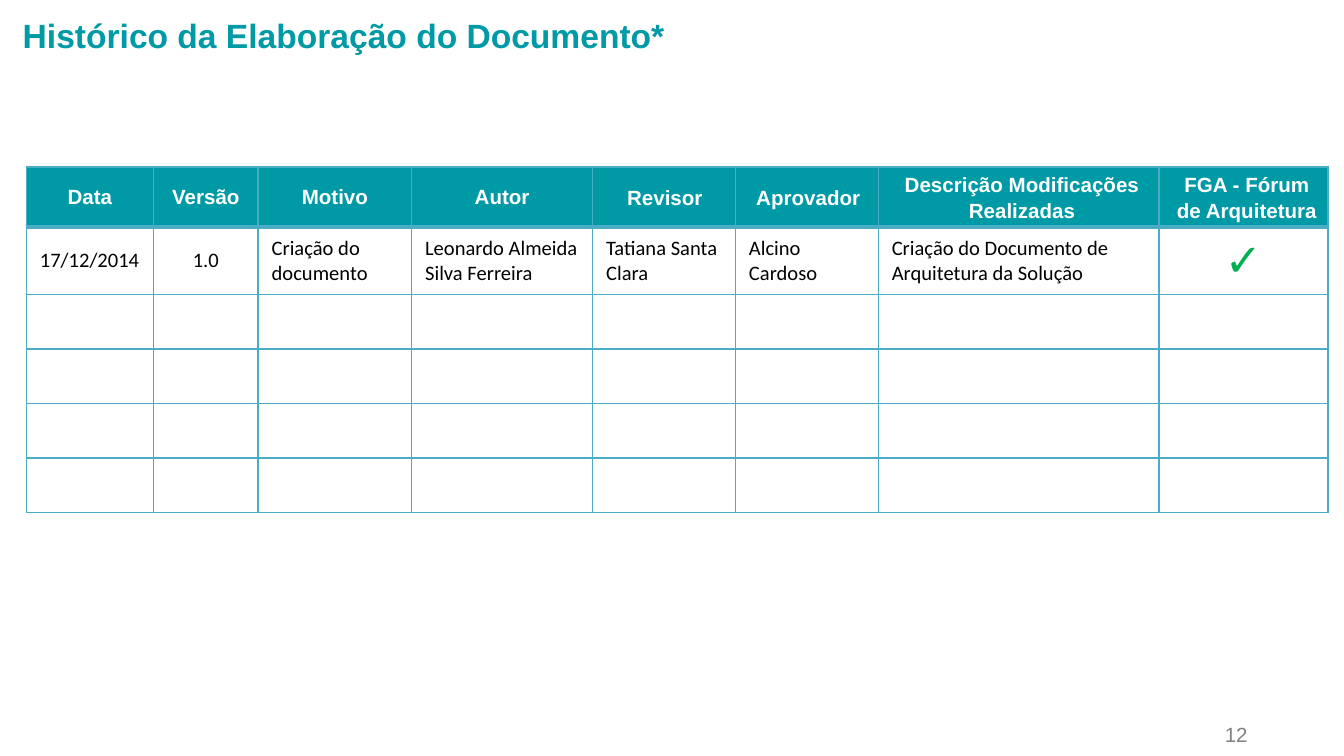
from lxml import etree
from pptx import Presentation
from pptx.dml.color import RGBColor
from pptx.enum.text import MSO_ANCHOR, PP_ALIGN
from pptx.oxml.ns import qn
from pptx.util import Cm, Pt

LEFT, CENTER, RIGHT = PP_ALIGN.LEFT, PP_ALIGN.CENTER, PP_ALIGN.RIGHT
MIDDLE = MSO_ANCHOR.MIDDLE
COLORS = {"teal": "009AA6", "border": "4BACC6", "white": "FFFFFF",
          "black": "000000", "green": "00B050", "gray": "808080"}


def write(paragraph, text, size, color, font="Arial", bold=False, align=LEFT):
    paragraph.alignment = align
    run = paragraph.add_run()
    run.text = text
    run.font.name = font
    run.font.size = Pt(size)
    run.font.bold = bold
    run.font.color.rgb = RGBColor.from_string(COLORS[color])


def style_cell(cell, fill, bottom_width):
    """Draw the four borders, then the fill, in the order the schema asks for."""
    properties = cell._tc.get_or_add_tcPr()
    for side, width in (("L", 1), ("R", 1), ("T", 1), ("B", bottom_width)):
        line = etree.SubElement(properties, qn(f"a:ln{side}"), w=str(Pt(width)))
        solid = etree.SubElement(line, qn("a:solidFill"))
        etree.SubElement(solid, qn("a:srgbClr"), val=COLORS["border"])
    cell.fill.solid()
    cell.fill.fore_color.rgb = RGBColor.from_string(COLORS[fill])
    cell.vertical_anchor = MIDDLE


presentation = Presentation()
presentation.slide_width = Cm(25.4)
presentation.slide_height = Cm(14.28)
slide = presentation.slides.add_slide(presentation.slide_layouts[6])

# Title
title = slide.shapes.add_textbox(Cm(0.18), Cm(0.15), Cm(16.33), Cm(1.02))
title.text_frame.word_wrap = True
write(title.text_frame.paragraphs[0], "Histórico da Elaboração do Documento*",
      18, "teal", bold=True)

# Revision history: header, column width, header indent, first entry, alignment
columns = [
    ("Data", 2.4, 0, "17/12/2014", LEFT),
    ("Versão", 1.98, 0, "1.0", CENTER),
    ("Motivo", 2.9, 0, "Criação do documento", LEFT),
    ("Autor", 3.42, 0, "Leonardo Almeida Silva Ferreira", LEFT),
    ("Revisor", 2.7, 0.03, "Tatiana Santa Clara", LEFT),
    ("Aprovador", 2.7, 0.05, "Alcino Cardoso", LEFT),
    ("Descrição Modificações Realizadas", 5.3, 0.13,
     "Criação do Documento de Arquitetura da Solução", LEFT),
    ("FGA - Fórum de Arquitetura", 3.2, 0.13, "✓", CENTER),
]
row_heights = [1.14, 1.27] + [1.03] * 4
table = slide.shapes.add_table(
    len(row_heights), len(columns), Cm(0.5), Cm(3.15),
    Cm(sum(column[1] for column in columns)), Cm(sum(row_heights))).table
table.first_row = False
table.horz_banding = False
for row, height in zip(table.rows, row_heights):
    row.height = Cm(height)

for index, (header, width, indent, entry, align) in enumerate(columns):
    table.columns[index].width = Cm(width)
    for row_index in range(len(row_heights)):
        is_header = row_index == 0
        style_cell(table.cell(row_index, index),
                   "teal" if is_header else "white", 2 if is_header else 1)

    header_cell = table.cell(0, index)
    header_cell.margin_left = header_cell.margin_right = Cm(0.13)
    header_cell.margin_top = header_cell.margin_bottom = Cm(0)
    paragraph = header_cell.text_frame.paragraphs[0]
    if indent:
        paragraph.line_spacing = 1.15
        paragraph._p.get_or_add_pPr().set("marL", str(Cm(indent)))
    write(paragraph, header, 11, "white", bold=True, align=CENTER)

    size, color = (24, "green") if entry == "✓" else (11, "black")
    write(table.cell(1, index).text_frame.paragraphs[0], entry, size, color,
          font="Calibri", align=align)

# Page number
page_number = slide.shapes.add_textbox(Cm(21.49), Cm(13.54), Cm(2.34), Cm(0.74))
page_number.text_frame.word_wrap = True
page_number.text_frame.vertical_anchor = MIDDLE
paragraph = page_number.text_frame.paragraphs[0]
paragraph.line_spacing = 0.8
write(paragraph, "12", 11, "gray", align=RIGHT)

presentation.save("out.pptx")
